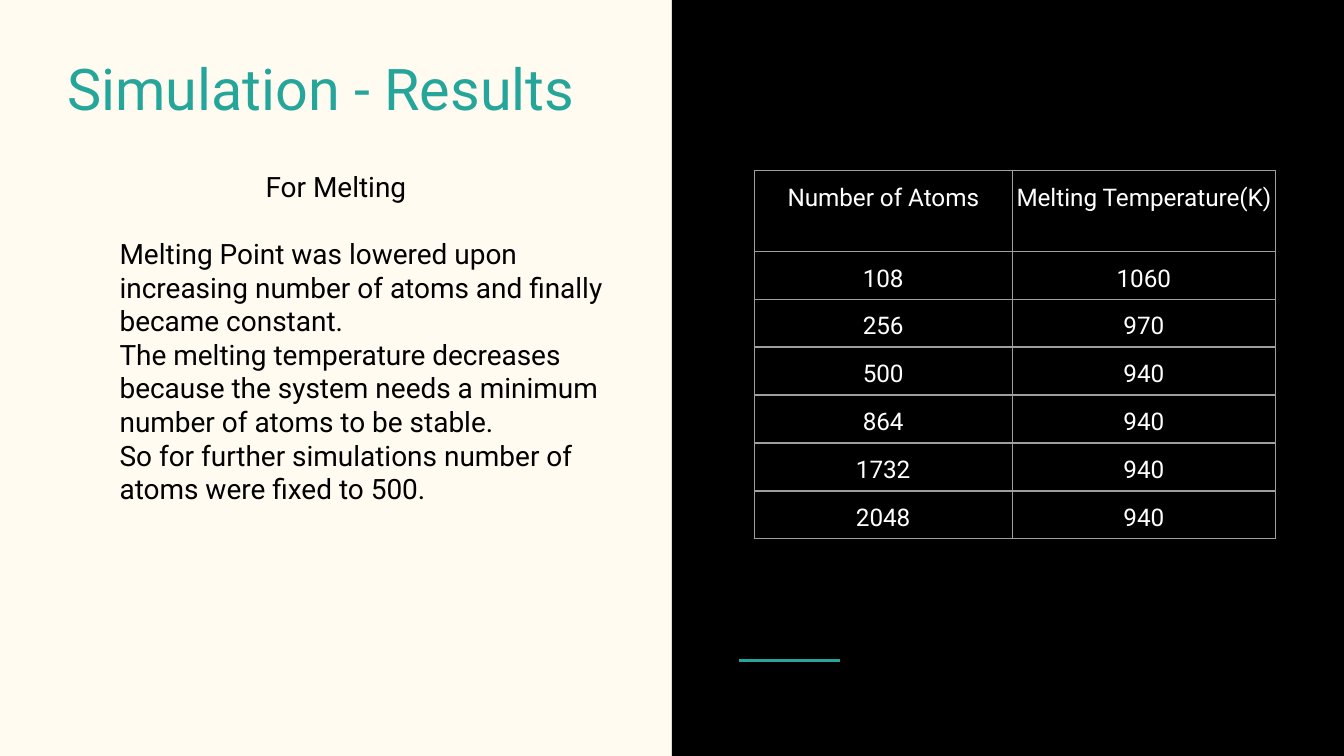
from pptx import Presentation
from pptx.dml.color import RGBColor
from pptx.enum import shapes, text
from pptx.oxml import parse_xml
from pptx.oxml.ns import nsdecls
from pptx.util import Pt

COLORS = {"cream": "FFFBF0", "black": "000000", "teal": "26A69A",
          "white": "FFFFFF", "grid": "9E9E9E"}
FONT = "Roboto"
CENTER = text.PP_ALIGN.CENTER
LEFT = text.PP_ALIGN.LEFT


class Deck:
    """Holds the style and the current slide, and draws its elements."""

    def __init__(self, width, height):
        self.prs = Presentation()
        self.prs.slide_width, self.prs.slide_height = Pt(width), Pt(height)

    def color(self, name):
        return RGBColor.from_string(COLORS[name])

    def slide(self, background):
        self.s = self.prs.slides.add_slide(self.prs.slide_layouts[6])
        fill = self.s.background.fill
        fill.solid()
        fill.fore_color.rgb = self.color(background)

    def style(self, p, size, color, align):
        p.alignment = align
        for r in p.runs:
            r.font.name, r.font.size = FONT, Pt(size)
            r.font.color.rgb = self.color(color)

    def panel(self, x, y, w, h, color):
        sp = self.s.shapes.add_shape(shapes.MSO_SHAPE.RECTANGLE, Pt(x), Pt(y), Pt(w), Pt(h))
        sp.shadow.inherit = False
        sp.fill.solid()
        sp.fill.fore_color.rgb = self.color(color)
        sp.line.fill.background()

    def rule(self, x1, x2, y, color, width):
        line = self.s.shapes.add_connector(
            shapes.MSO_CONNECTOR.STRAIGHT, Pt(x1), Pt(y), Pt(x2), Pt(y))
        line.line.color.rgb = self.color(color)
        line.line.width = Pt(width)
        line._element.spPr.append(parse_xml(f"<a:effectLst {nsdecls('a')}/>"))

    def textbox(self, x, y, w, h, anchor=text.MSO_ANCHOR.TOP):
        tf = self.s.shapes.add_textbox(Pt(x), Pt(y), Pt(w), Pt(h)).text_frame
        tf.word_wrap = True
        tf.vertical_anchor = anchor
        tf.margin_left = tf.margin_right = tf.margin_top = tf.margin_bottom = Pt(7.2)
        return tf

    def title(self, x, y, w, h, words):
        tf = self.textbox(x, y, w, h, text.MSO_ANCHOR.BOTTOM)
        tf.text = words
        self.style(tf.paragraphs[0], 30.8, "teal", CENTER)

    def body(self, x, y, w, h, heading, points):
        tf = self.textbox(x, y, w, h)
        tf.text = "\n".join([heading, *points])
        for i, p in enumerate(tf.paragraphs):
            self.style(p, 15, "black", LEFT if i else CENTER)
            p.line_spacing = Pt(18)
            if i:
                p._p.get_or_add_pPr().set("marL", str(Pt(36)))
        tf.paragraphs[0].space_after = Pt(18)

    def borders(self, cell):
        tc_pr = cell._tc.get_or_add_tcPr()
        for i, side in enumerate(("lnL", "lnR", "lnT", "lnB")):
            tc_pr.insert(i, parse_xml(
                f'<a:{side} {nsdecls("a")} w="{Pt(0.75)}"><a:solidFill>'
                f'<a:srgbClr val="{COLORS["grid"]}"/></a:solidFill></a:{side}>'))

    def table(self, x, y, widths, heights, rows):
        table = self.s.shapes.add_table(
            len(rows), len(widths), Pt(x), Pt(y), Pt(sum(widths)), Pt(sum(heights))).table
        table.first_row = table.horz_banding = False
        for column, width in zip(table.columns, widths):
            column.width = Pt(width)
        for row, height, values in zip(table.rows, heights, rows):
            row.height = Pt(height)
            for cell, value in zip(row.cells, values):
                cell.text = str(value)
                cell.margin_left = cell.margin_right = cell.margin_bottom = 0
                cell.margin_top = Pt(7.2)
                cell.fill.background()
                self.borders(cell)
                self.style(cell.text_frame.paragraphs[0], 13, "white", CENTER)


def main():
    deck = Deck(720, 405)
    deck.slide("cream")
    deck.panel(360, 0, 360, 405, "black")
    deck.rule(396, 450, 354, "teal", 1.5)
    deck.title(13, 19.5, 318, 53, "Simulation - Results")
    deck.body(21, 83.5, 318, 291, "For Melting", [
        "Melting Point was lowered upon increasing number of atoms and finally became constant.",
        "The melting temperature decreases because the system needs a minimum number of atoms "
        "to be stable.",
        "So for further simulations number of atoms were fixed to 500.",
    ])
    melting = [(108, 1060), (256, 970), (500, 940), (864, 940), (1732, 940), (2048, 940)]
    deck.table(404, 91.3, [138.3, 141], [43.3] + [25.7] * len(melting),
               [("Number of Atoms", "Melting Temperature(K)"), *melting])
    deck.prs.save("out.pptx")


if __name__ == "__main__":
    main()
